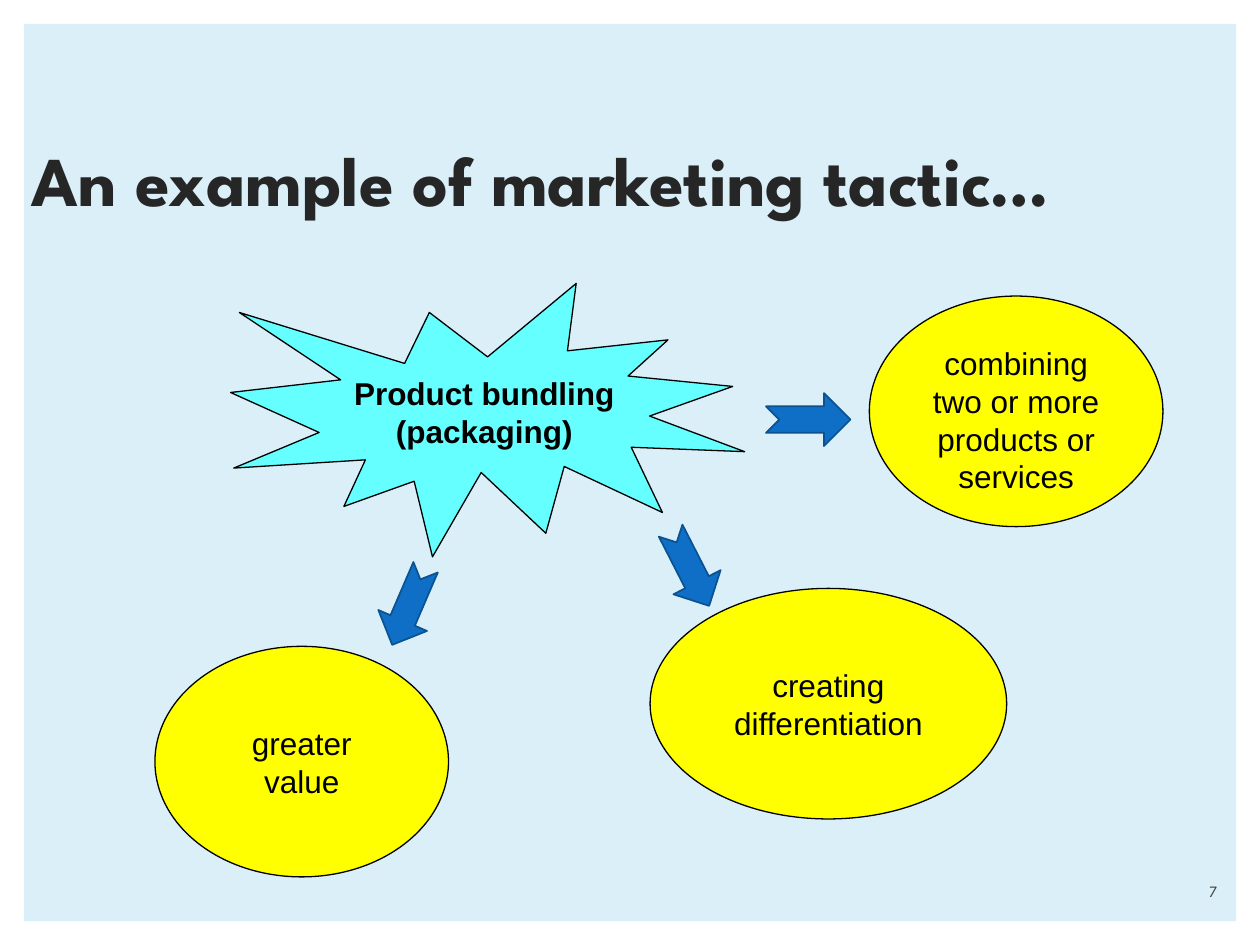
import pptx
import pptx.util
import pptx.dml.color
import pptx.enum.shapes
import pptx.enum.text

Inches = pptx.util.Inches
Pt = pptx.util.Pt
RGBColor = pptx.dml.color.RGBColor
SHAPE = pptx.enum.shapes.MSO_SHAPE
ANCHOR = pptx.enum.text.MSO_ANCHOR
ALIGN = pptx.enum.text.PP_ALIGN

BLACK = RGBColor(0x00, 0x00, 0x00)
PALE_BLUE = RGBColor(0xDB, 0xEF, 0xF9)
CYAN = RGBColor(0x66, 0xFF, 0xFF)
YELLOW = RGBColor(0xFF, 0xFF, 0x00)
BLUE = RGBColor(0x0F, 0x6F, 0xC6)
DARK_BLUE = RGBColor(0x0B, 0x52, 0x92)
TITLE_GREY = RGBColor(0x26, 0x26, 0x26)
NUMBER_GREY = RGBColor(0x40, 0x40, 0x40)


class SlideBuilder:
    HEADING_FONT = "League Spartan"
    BODY_FONT = "Arial"

    def __init__(self, slide):
        self.slide = slide

    def add_text(self, frame, text, size, color, font, bold=False,
                 align=ALIGN.CENTER, anchor=ANCHOR.MIDDLE):
        frame.word_wrap = True
        frame.auto_size = pptx.enum.text.MSO_AUTO_SIZE.NONE
        frame.vertical_anchor = anchor
        paragraph = frame.paragraphs[0]
        paragraph.alignment = align
        run = paragraph.add_run()
        run.text = text
        run.font.size = Pt(size)
        run.font.name = font
        run.font.bold = bold
        run.font.color.rgb = color
        return paragraph

    def title(self, text, left, top, width, height):
        heading = self.slide.shapes.title
        heading.left, heading.top = Inches(left), Inches(top)
        heading.width, heading.height = Inches(width), Inches(height)
        paragraph = self.add_text(heading.text_frame, text, 40, TITLE_GREY,
                                  self.HEADING_FONT, True, ALIGN.LEFT)
        paragraph.line_spacing = 0.9

    def shape(self, kind, left, top, width, height, fill, line=None, line_width=0.75):
        figure = self.slide.shapes.add_shape(
            kind, Inches(left), Inches(top), Inches(width), Inches(height))
        figure.shadow.inherit = False
        figure.fill.solid()
        figure.fill.fore_color.rgb = fill
        if line is None:
            figure.line.fill.background()
        else:
            figure.line.color.rgb = line
            figure.line.width = Pt(line_width)
        return figure

    def bubble(self, kind, text, left, top, width, height, fill,
               side=0.14, top_inset=0.05, bold=False):
        frame = self.shape(kind, left, top, width, height, fill, BLACK).text_frame
        frame.margin_left = frame.margin_right = Inches(side)
        frame.margin_top = Inches(top_inset)
        self.add_text(frame, text, 18, BLACK, self.BODY_FONT, bold)

    def arrow(self, left, top, angle):
        pointer = self.shape(SHAPE.NOTCHED_RIGHT_ARROW, left, top, 0.67, 0.42,
                             BLUE, DARK_BLUE, 1)
        pointer.rotation = angle

    def page_number(self, text, left, top, width, height):
        box = self.slide.shapes.add_textbox(
            Inches(left), Inches(top), Inches(width), Inches(height))
        self.add_text(box.text_frame, text, 9, NUMBER_GREY, self.HEADING_FONT,
                      align=ALIGN.RIGHT, anchor=ANCHOR.BOTTOM)


presentation = pptx.Presentation()
presentation.slide_width = Inches(10)
presentation.slide_height = Inches(7.5)
builder = SlideBuilder(presentation.slides.add_slide(presentation.slide_layouts[5]))

# Background panel, placed behind the title
panel = builder.shape(SHAPE.RECTANGLE, 0.19, 0.19, 9.62, 7.12, PALE_BLUE)
builder.slide.shapes.title.element.addprevious(panel.element)
builder.title("An example of marketing tactic…", 0.15, 0.58, 9.67, 1.76)

# Tactic in the centre
builder.bubble(SHAPE.EXPLOSION1, "Product bundling (packaging)",
               1.83, 2.25, 4.08, 2.17, CYAN, side=0.05, bold=True)

# Effects of the tactic
for effect, left, top, width, top_inset in (
        ("combining two or more products or services", 6.9, 2.35, 2.33, 0.18),
        ("greater value", 1.23, 5.13, 2.33, 0.05),
        ("creating differentiation", 5.16, 4.67, 2.83, 0.05)):
    builder.bubble(SHAPE.OVAL, effect, left, top, width, 1.83, YELLOW,
                   top_inset=top_inset)

builder.page_number("7", 8.56, 6.9, 1.2, 0.3)

# Arrows from the tactic to its effects
for left, top, angle in ((2.91, 4.6, 113.3), (5.14, 4.3, 62.9), (6.08, 3.12, 0)):
    builder.arrow(left, top, angle)

presentation.save("out.pptx")
